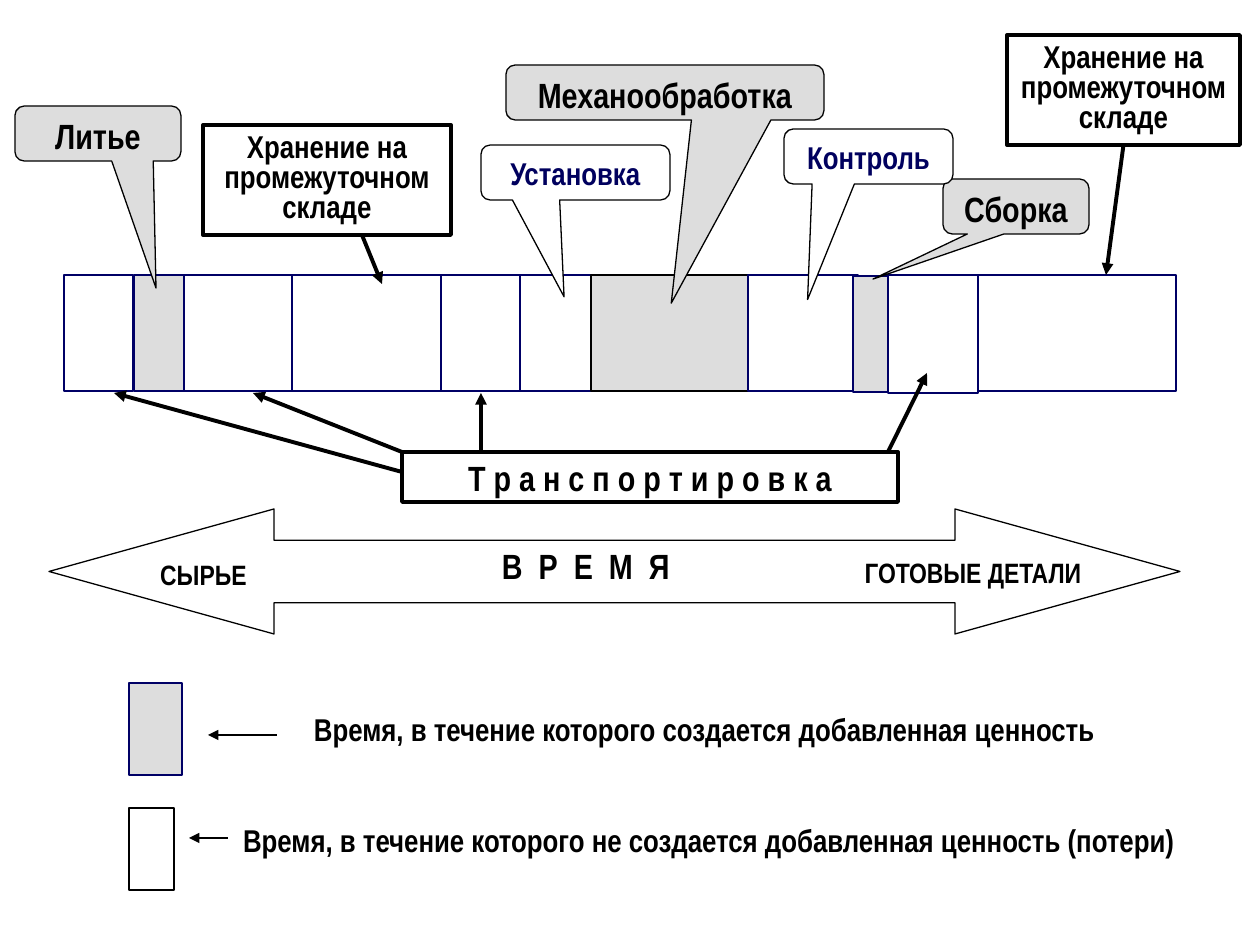
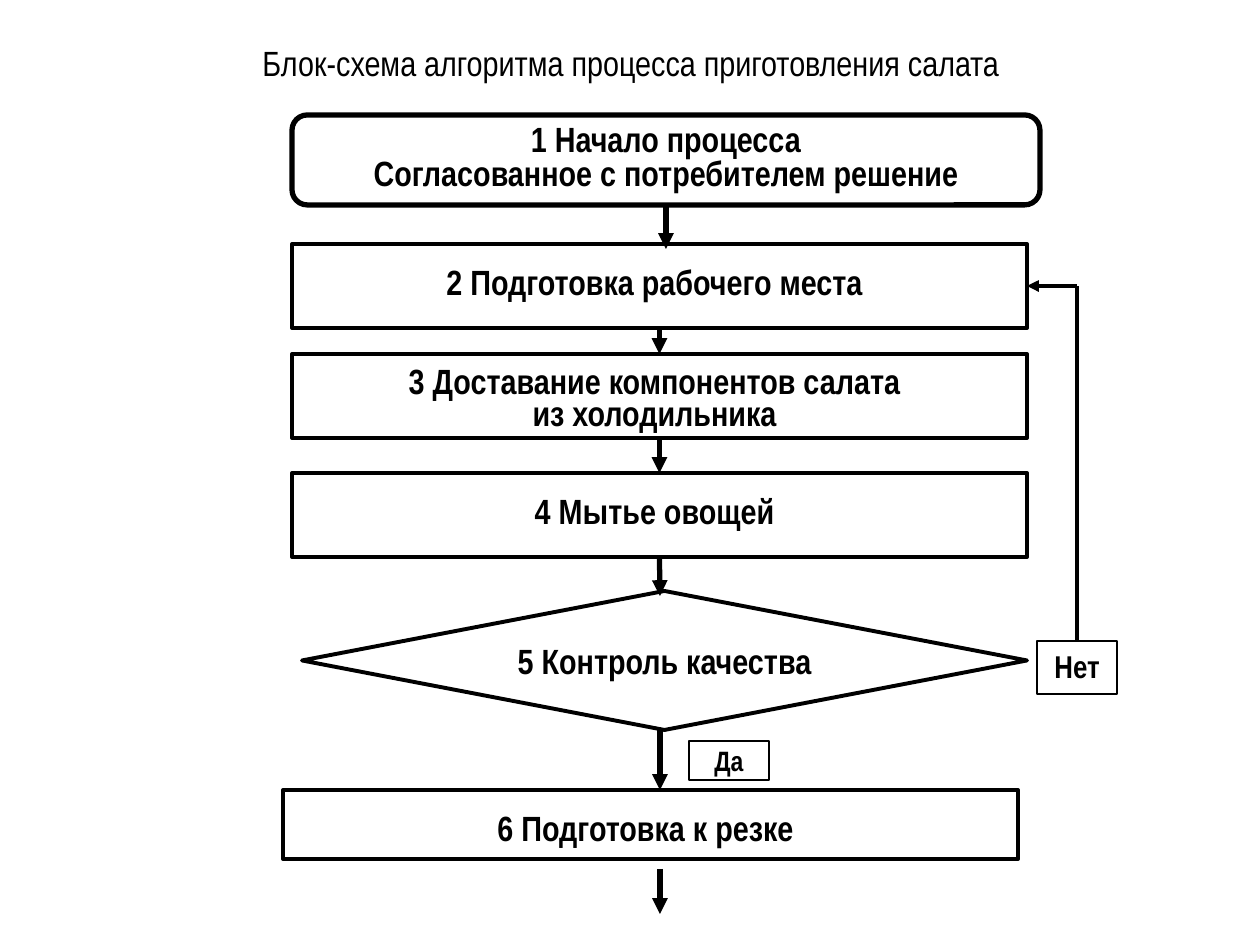
from lxml import etree
from pptx import Presentation
from pptx import util as u
from pptx.dml.color import RGBColor
from pptx.enum import shapes, text
from pptx.oxml import ns

PX = 914400 / 126
FONT = "Arial Narrow"
BLACK = RGBColor(0, 0, 0)
WHITE = RGBColor(255, 255, 255)
GREY = RGBColor(0xDD, 0xDD, 0xDD)
NAVY = RGBColor(0, 0, 0x66)
DARK_BLUE = RGBColor(0, 0, 0x5E)
KIND = shapes.MSO_SHAPE
TOP, MIDDLE = text.MSO_ANCHOR.TOP, text.MSO_ANCHOR.MIDDLE
SIDE_TOP, SIDE_BOTTOM, SIDE_RIGHT = 0, 2, 3

STAGES = [
    (64, 275, 69, 116, WHITE, NAVY),
    (134, 275, 59, 116, GREY, NAVY),
    (184, 275, 110, 116, WHITE, NAVY),
    (292, 275, 152, 116, WHITE, NAVY),
    (512, 275, 87, 116, WHITE, NAVY),
    (441, 275, 79, 116, WHITE, NAVY),
    (591, 275, 159, 116, GREY, BLACK),
    (748, 275, 110, 116, WHITE, NAVY),
    (853, 276, 39, 116, GREY, NAVY),
    (978, 275, 198, 116, WHITE, NAVY),
    (888, 275, 90, 118, WHITE, NAVY),
]
CALLOUTS = [
    ("Литье", 15, 106, 166, (0.35, 2.81), GREY, 20, BLACK),
    ("Механообработка", 506, 65, 318, (0.02, 3.83), GREY, 20, BLACK),
    ("Сборка", 943, 179, 146, (-0.98, 1.32), GREY, 20, BLACK),
    ("Контроль", 784, 129, 169, (-0.36, 2.6), WHITE, 18, DARK_BLUE),
    ("Установка", 481, 145, 189, (-0.06, 2.26), WHITE, 18, DARK_BLUE),
]
STORAGE = ["Хранение на", "промежуточном", "складе"]
STORAGE_PLACES = [(203, 125, 248, 110), (1007, 35, 233, 110)]
TRANSPORT = "Т р а н с п о р т и р о в к а"
TRANSPORT_ARROWS = [
    (402, 472, 114, 393),
    (402, 452, 253, 393),
    (481, 452, 481, 393),
    (888, 452, 927, 373),
]
TIME_ENDS = [("СЫРЬЕ", 129, 551, 149, TOP), ("ГОТОВЫЕ ДЕТАЛИ", 834, 551, 278, MIDDLE)]
LEGEND = [
    ("Время, в течение которого создается добавленная ценность",
     (258, 704, 893, 64), (129, 683, 53, 92), GREY, NAVY, (277, 735, 208, 735)),
    ("Время, в течение которого не создается добавленная ценность (потери)",
     (208, 815, 1002, 55), (129, 808, 45, 82), WHITE, BLACK, (228, 838, 189, 838)),
]

SALAD_TITLE = "Блок-схема алгоритма процесса приготовления салата"
START = ["1 Начало процесса", "Согласованное с потребителем решение"]
STEPS = [
    (["2 Подготовка рабочего места"], 292, 244, 84),
    (["3 Доставание компонентов салата", "из холодильника"], 292, 354, 84),
    (["4 Мытье овощей"], 292, 473, 84),
    (["6 Подготовка к резке"], 283, 790, 69),
]
STEP_WIDTH = 735
CONTROL = "5 Контроль качества"
YES, NO = "Да", "Нет"


def px(*lengths):
    return [u.Emu(round(length * PX)) for length in lengths]


def write(frame, lines, size, color=BLACK, bold=True, anchor=TOP, wrap=True, spacing=None):
    frame.word_wrap = wrap
    frame.auto_size = text.MSO_AUTO_SIZE.NONE
    frame.vertical_anchor = anchor
    frame.text = "\n".join(lines)
    for paragraph in frame.paragraphs:
        paragraph.alignment = text.PP_ALIGN.CENTER
        paragraph.line_spacing = spacing
        font = paragraph.font
        font.name, font.size, font.bold = FONT, u.Pt(size), bold
        font.color.rgb = color


def block(slide, kind, place, fill=None, line=BLACK, width=0.75, adjust=()):
    shape = slide.shapes.add_shape(kind, *px(*place))
    shape.shadow.inherit = False
    for i, value in enumerate(adjust):
        shape.adjustments[i] = value
    if fill is None:
        shape.fill.background()
    else:
        shape.fill.solid()
        shape.fill.fore_color.rgb = fill
    shape.line.color.rgb = line
    shape.line.width = u.Pt(width)
    return shape


def caption(slide, words, place, size, anchor=TOP):
    label = slide.shapes.add_textbox(*px(*place))
    write(label.text_frame, [words], size, anchor=anchor, wrap=False)
    return label


def arrow(slide, ends, width, head=True, begin=None, end=None):
    link = slide.shapes.add_connector(shapes.MSO_CONNECTOR.STRAIGHT, *px(*ends))
    link.line.color.rgb = BLACK
    link.line.width = u.Pt(width)
    if begin:
        link.begin_connect(*begin)
    if end:
        link.end_connect(*end)
    properties = link._element.spPr
    if head:
        etree.SubElement(properties.find(ns.qn("a:ln")), ns.qn("a:tailEnd"), type="triangle")
    etree.SubElement(properties, ns.qn("a:effectLst"))


def value_stream(slide):
    for *place, fill, line in STAGES:
        block(slide, KIND.RECTANGLE, place, fill, line)

    block(slide, KIND.LEFT_RIGHT_ARROW, (49, 509, 1131, 125), adjust=(0.5, 1.8))
    time = caption(slide, "В Р Е М Я", (427, 539, 318, 52), 20, MIDDLE)
    time.text_frame.paragraphs[0].runs[0].font._element.set("spc", "230")
    for words, x, y, w, anchor in TIME_ENDS:
        caption(slide, words, (x, y, w, 42), 16, anchor)

    for words, x, y, w, tip, fill, size, color in CALLOUTS:
        callout = block(slide, KIND.ROUNDED_RECTANGULAR_CALLOUT, (x, y, w, 55), fill,
                        adjust=(*tip, 0.17))
        write(callout.text_frame, [words], size, color)

    for words, label_place, swatch, fill, line, pointer in LEGEND:
        block(slide, KIND.RECTANGLE, swatch, fill, line)
        caption(slide, words, label_place, 18)
        arrow(slide, pointer, 0.75)

    transport = block(slide, KIND.RECTANGLE, (402, 452, 496, 50), width=2.25)
    write(transport.text_frame, [TRANSPORT], 20, anchor=MIDDLE, wrap=False)
    for ends in TRANSPORT_ARROWS:
        arrow(slide, ends, 2.25)

    stores = []
    for place in STORAGE_PLACES:
        store = block(slide, KIND.RECTANGLE, place, width=2.25)
        write(store.text_frame, STORAGE, 18, anchor=MIDDLE, wrap=False, spacing=u.Pt(17))
        stores.append(store)
    arrow(slide, (362, 235, 382, 284), 2.25)
    arrow(slide, (1124, 145, 1106, 275), 2.25, begin=(stores[1], SIDE_BOTTOM))


def salad_flowchart(slide):
    title = slide.shapes.title
    title.left, title.top, title.width, title.height = px(64, 35, 1134, 55)
    write(title.text_frame, [SALAD_TITLE], 20, bold=False, anchor=MIDDLE)

    start = block(slide, KIND.ROUNDED_RECTANGLE, (292, 115, 748, 90), WHITE, width=3,
                  adjust=(0.17,))
    write(start.text_frame, START, 20, spacing=0.8)

    steps = []
    for lines, x, y, h in STEPS:
        step = block(slide, KIND.FLOWCHART_PROCESS, (x, y, STEP_WIDTH, h), width=2.25)
        frame = step.text_frame
        frame.margin_left, frame.margin_right, frame.margin_top = px(23, 33, 16)
        write(frame, lines, 20, spacing=u.Pt(18) if len(lines) > 1 else None)
        steps.append(step)
    workplace, fetching, washing, _ = steps

    control = block(slide, KIND.DIAMOND, (302, 591, 725, 139), width=2.25)
    write(control.text_frame, [CONTROL], 20, anchor=MIDDLE, wrap=False)
    yes = block(slide, KIND.RECTANGLE, (689, 741, 80, 39), WHITE, width=1.5)
    write(yes.text_frame, [YES], 16, anchor=MIDDLE)
    no = block(slide, KIND.RECTANGLE, (1037, 641, 80, 53), WHITE, width=1.5)
    write(no.text_frame, [NO], 18)

    arrow(slide, (666, 205, 666, 249), 3, begin=(start, SIDE_BOTTOM))
    for upper, lower in ((workplace, fetching), (fetching, washing)):
        arrow(slide, (0, 0, 0, 0), 3, begin=(upper, SIDE_BOTTOM), end=(lower, SIDE_TOP))
    arrow(slide, (660, 557, 660, 596), 3, begin=(washing, SIDE_BOTTOM))
    for top, bottom in ((730, 790), (869, 914)):
        arrow(slide, (660, top, 660, bottom), 3)
    arrow(slide, (1077, 641, 1077, 286), 2.25, head=False, begin=(no, SIDE_TOP))
    arrow(slide, (1077, 286, 1027, 286), 2.25, end=(workplace, SIDE_RIGHT))


def main():
    deck = Presentation()
    deck.slide_width, deck.slide_height = px(1260, 945)
    title_only, blank = deck.slide_layouts[5], deck.slide_layouts[6]
    value_stream(deck.slides.add_slide(blank))
    salad_flowchart(deck.slides.add_slide(title_only))
    deck.save("out.pptx")


if __name__ == "__main__":
    main()
